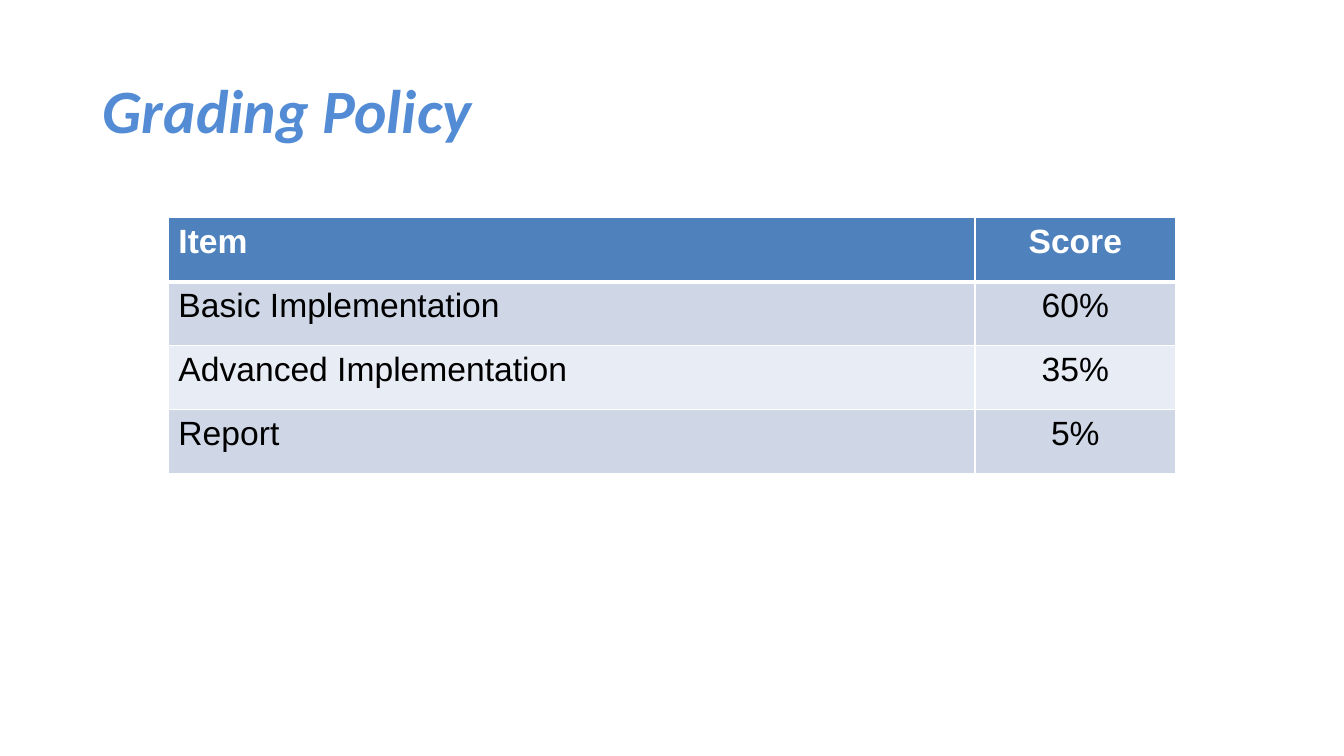
from lxml.etree import SubElement as Sub
from pptx import Presentation
from pptx.dml.color import RGBColor as RGB
from pptx.enum.text import MSO_ANCHOR as Anchor, PP_ALIGN as Align
from pptx.oxml.ns import qn
from pptx.util import Inches, Pt

COLORS = {
    "title": "538CD5",
    "header": "4F81BD",
    "odd": "CFD7E7",
    "even": "E8ECF4",
    "white": "FFFFFF",
    "black": "000000",
}
TITLE_FONT = {"name": "Calibri", "size": Pt(44), "bold": True, "italic": True}
HEADER_FONT = {"name": "Arial", "size": Pt(24), "bold": True}
BODY_FONT = {**HEADER_FONT, "bold": False}

GRADES = [
    ("Item", "Score"),
    ("Basic Implementation", "60%"),
    ("Advanced Implementation", "35%"),
    ("Report", "5%"),
]


class PolicySlide:
    def __init__(self, deck):
        self.slide = deck.slides.add_slide(deck.slide_layouts[6])

    def add_text(self, frame, text, font, color, align=Align.LEFT):
        paragraph = frame.paragraphs[0]
        paragraph.alignment = align
        run = paragraph.add_run()
        run.text = text
        for name, value in font.items():
            setattr(run.font, name, value)
        run.font.color.rgb = RGB.from_string(COLORS[color])
        return paragraph

    def title(self, text, left, top, width, height):
        box = self.slide.shapes.add_textbox(*map(Inches, (left, top, width, height)))
        frame = box.text_frame
        frame.word_wrap = True
        frame.vertical_anchor = Anchor.MIDDLE
        self.add_text(frame, text, TITLE_FONT, "title").line_spacing = 0.9

    def borders(self, cell, top, bottom):
        properties = cell._tc.get_or_add_tcPr()
        for side, points in {"L": 1, "R": 1, "T": top, "B": bottom}.items():
            line = Sub(properties, qn(f"a:ln{side}"), w=str(Pt(points)))
            fill = Sub(line, qn("a:solidFill"))
            Sub(fill, qn("a:srgbClr"), val=COLORS["white"])

    def table(self, rows, left, top, widths, row_height):
        size = (sum(widths), row_height * len(rows))
        grid = self.slide.shapes.add_table(
            len(rows), len(widths), *map(Inches, (left, top, *size))
        ).table
        for column, width in zip(grid.columns, widths):
            column.width = Inches(width)
        for r, texts in enumerate(rows):
            grid.rows[r].height = Inches(row_height)
            band = "header" if r == 0 else "odd" if r % 2 else "even"
            font, ink = (BODY_FONT, "black") if r else (HEADER_FONT, "white")
            for c, text in enumerate(texts):
                cell = grid.cell(r, c)
                self.borders(cell, 3 if r == 1 else 1, 3 if r == 0 else 1)
                cell.fill.solid()
                cell.fill.fore_color.rgb = RGB.from_string(COLORS[band])
                align = Align.CENTER if c else Align.LEFT
                self.add_text(cell.text_frame, text, font, ink, align)


def main():
    deck = Presentation()
    deck.slide_width, deck.slide_height = Inches(13.33), Inches(7.5)
    policy = PolicySlide(deck)
    policy.title("Grading Policy", 0.92, 0.4, 11.5, 1.45)
    policy.table(GRADES, 1.67, 2.16, (8, 1.99), 2.54 / len(GRADES))
    deck.save("out.pptx")


if __name__ == "__main__":
    main()
